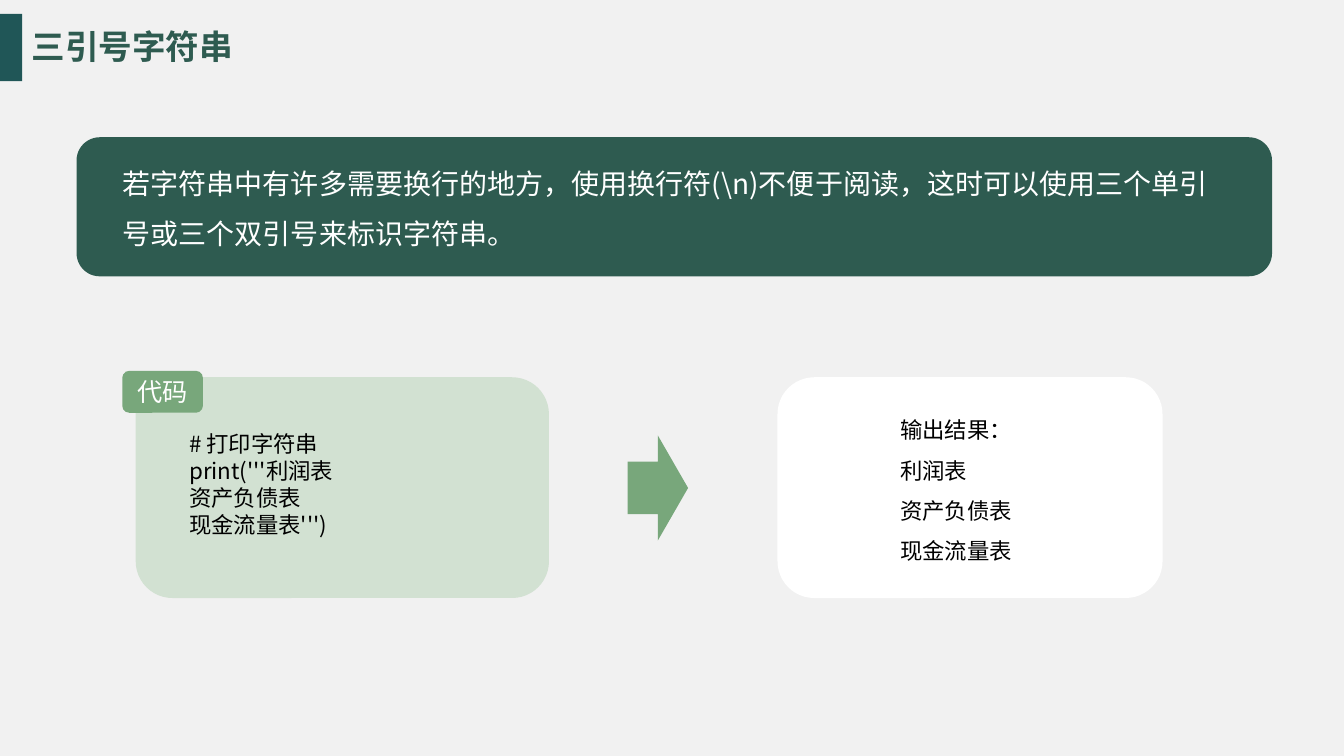
import pptx
import pptx.dml.color
import pptx.enum.shapes
import pptx.enum.text
import pptx.oxml.ns
import pptx.util
from lxml import etree

RGBColor = pptx.dml.color.RGBColor
Shape = pptx.enum.shapes.MSO_SHAPE
Align = pptx.enum.text.PP_ALIGN
Anchor = pptx.enum.text.MSO_ANCHOR

PAGE = RGBColor(0xF1, 0xF1, 0xF1)
TEAL = RGBColor(0x20, 0x56, 0x57)
GREEN = RGBColor(0x2E, 0x5B, 0x50)
LEAF = RGBColor(0x78, 0xA7, 0x7B)
MINT = RGBColor(0xD2, 0xE1, 0xD2)
WHITE = RGBColor(0xFF, 0xFF, 0xFF)
BLACK = RGBColor(0, 0, 0)

FONT = "Noto Sans CJK SC"
SLIDE_WIDTH = pptx.util.Inches(13.333)
SLIDE_HEIGHT = pptx.util.Inches(7.5)


def cols(count):
    """Return the length of a number of hundredths of the slide width."""
    return int(SLIDE_WIDTH * count / 100)


def rows(count):
    """Return the length of a number of hundredths of the slide height."""
    return int(SLIDE_HEIGHT * count / 100)


def place(part, box):
    """Move a part to a box given in grid columns and rows."""
    left, top, width, height = box
    part.left, part.top = cols(left), rows(top)
    part.width, part.height = cols(width), rows(height)


def add_block(slide, kind, box, color):
    """Draw a plain filled shape in a box."""
    block = slide.shapes.add_shape(kind, 0, 0, 0, 0)
    place(block, box)
    block.shadow.inherit = False
    block.fill.solid()
    block.fill.fore_color.rgb = color
    block.line.fill.background()
    return block


def write(block, lines, size, color, insets=(0, 0, 0), spacing=1.0,
          align=Align.LEFT, anchor=Anchor.TOP, bold=False):
    """Write lines into a shape, inset by left columns, top rows and right columns."""
    frame = block.text_frame
    frame.word_wrap = True
    frame.auto_size = pptx.enum.text.MSO_AUTO_SIZE.NONE
    frame.vertical_anchor = anchor
    left, top, right = insets
    frame.margin_left, frame.margin_right = cols(left), cols(right)
    frame.margin_top, frame.margin_bottom = rows(top), 0
    frame.text = "\n".join(lines)
    for paragraph in frame.paragraphs:
        paragraph.alignment = align
        paragraph.line_spacing = spacing
        paragraph.space_before = pptx.util.Pt(0)
        font = paragraph.font
        font.size = pptx.util.Pt(size)
        font.bold = bold
        font.color.rgb = color
        font.name = FONT
        qn = pptx.oxml.ns.qn
        latin = paragraph._p.find(".//" + qn("a:latin"))
        latin.addnext(etree.Element(qn("a:ea"), typeface=FONT))


def add_heading(slide, box):
    """Draw the edge bar and set the title beside it."""
    left, top, width, height = box
    add_block(slide, Shape.RECTANGLE, (left, top, 1.65, height), TEAL)
    title = slide.shapes.title
    place(title, (left + 2.35, top + 1.35, width - 2.35, 5.75))
    write(title, ["三引号字符串"], 24, GREEN, anchor=Anchor.MIDDLE, bold=True)


def add_intro(slide, box):
    """Draw the banner that explains triple quotes."""
    banner = add_block(slide, Shape.ROUNDED_RECTANGLE, box, GREEN)
    write(banner, ["若字符串中有许多需要换行的地方，使用换行符(\\n)不便于阅读，"
                   "这时可以使用三个单引 号或三个双引号来标识字符串。"],
          20, WHITE, (2.93, 0.76, 3.8), 1.5)


def add_code(slide, box):
    """Draw the code panel with its label on the top left corner."""
    left, top, _, _ = box
    panel = add_block(slide, Shape.ROUNDED_RECTANGLE, box, MINT)
    write(panel, ["# 打印字符串", "print('''利润表", "资产负债表", "现金流量表''')"],
          16, BLACK, (3.18, 5.6, 0))
    label = add_block(slide, Shape.ROUNDED_RECTANGLE,
                      (left - 1, top - 0.85, 6, 5.55), LEAF)
    write(label, ["代码"], 18, WHITE, align=Align.CENTER, anchor=Anchor.MIDDLE)


def add_result(slide, box):
    """Draw the panel with the printed lines."""
    panel = add_block(slide, Shape.ROUNDED_RECTANGLE, box, WHITE)
    write(panel, ["输出结果：", "利润表", "资产负债表", "现金流量表"],
          16, BLACK, (8.33, 2, 0), 1.5)


def main():
    """Build and save the slide."""
    deck = pptx.Presentation()
    deck.slide_width, deck.slide_height = SLIDE_WIDTH, SLIDE_HEIGHT
    slide = deck.slides.add_slide(deck.slide_layouts.get_by_name("Title Only"))
    slide.background.fill.solid()
    slide.background.fill.fore_color.rgb = PAGE
    add_heading(slide, (0, 1.85, 17.8, 8.9))
    add_intro(slide, (5.7, 18.15, 88.95, 18.4))
    add_code(slide, (10.1, 49.9, 30.75, 29.2))
    add_block(slide, Shape.RIGHT_ARROW, (46.7, 57.6, 4.5, 13.9), LEAF)
    add_result(slide, (57.85, 49.9, 28.65, 29.2))
    deck.save("out.pptx")


if __name__ == "__main__":
    main()
